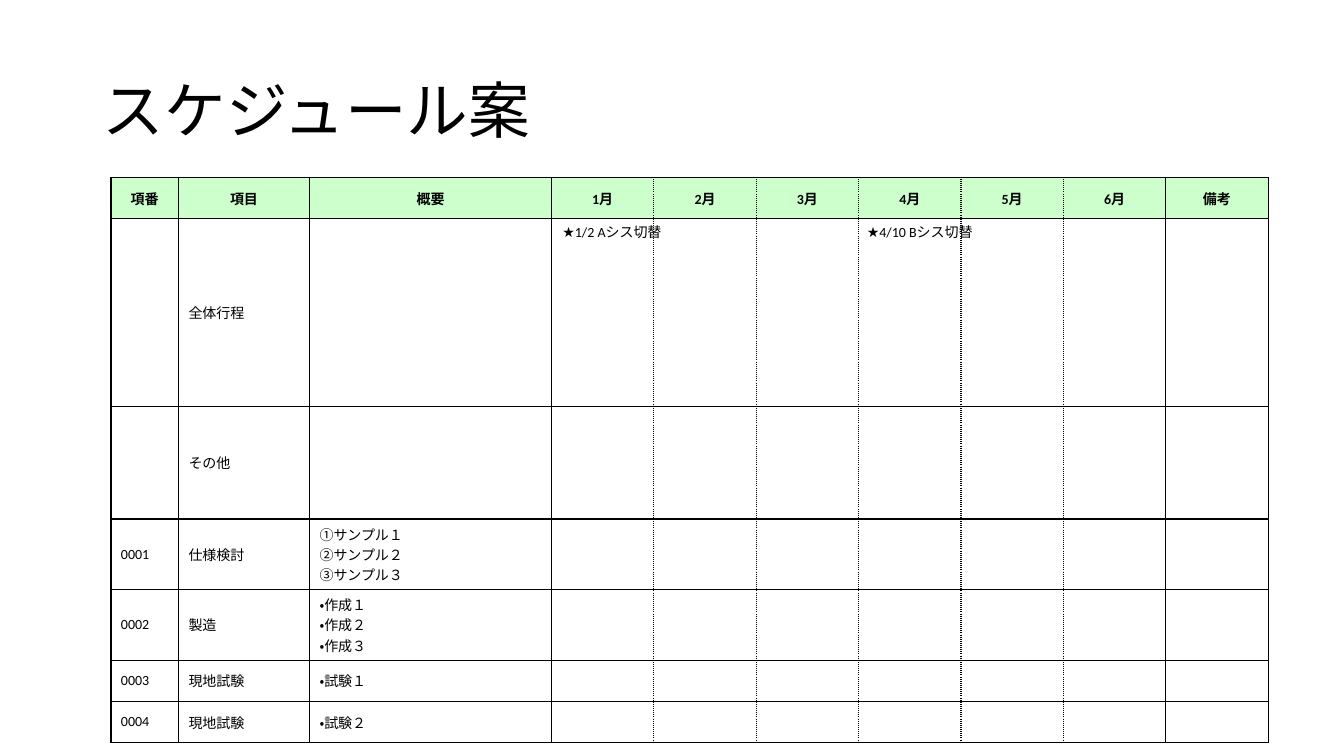
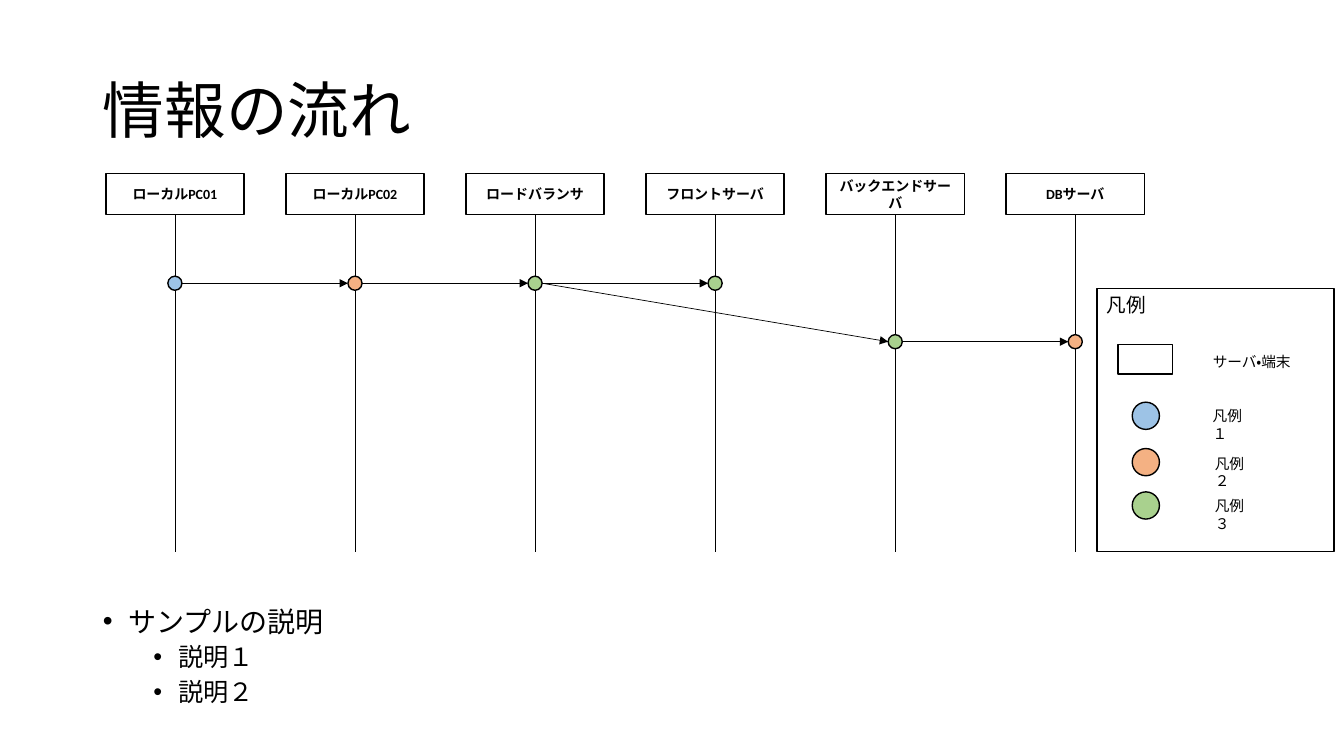
from lxml import etree
from pptx import Presentation
from pptx.dml.color import RGBColor
from pptx.enum import lang, shapes, text
from pptx.oxml import ns
from pptx.util import Inches, Pt

COLORS = {"black": "000000", "header": "CCFFCC",
          "blue": "9DC3E6", "orange": "F4B183", "green": "A9D18E"}
FONT = "Calibri"
TITLE_BOX = [Inches(n) for n in (0.92, 0.4, 11.5, 1.45)]
BLACK = RGBColor.from_string(COLORS["black"])


def style_text(frame, size, bold=False, align=text.PP_ALIGN.LEFT,
               anchor=text.MSO_ANCHOR.MIDDLE):
    """Apply the deck's font to every run of a text frame or table cell."""
    frame.vertical_anchor = anchor
    for paragraph in getattr(frame, "text_frame", frame).paragraphs:
        paragraph.alignment = align
        for run in paragraph.runs:
            run.font.name = FONT
            run.font.size = Pt(size)
            run.font.bold = bold
            run.font.color.rgb = BLACK
            run.font.language_id = lang.MSO_LANGUAGE_ID.JAPANESE


def add_outlined(slide, preset, left, top, width, height, color=None):
    """Add a black-outlined shape, filled only when a colour is named."""
    outlined = slide.shapes.add_shape(preset, Inches(left), Inches(top),
                                      Inches(width), Inches(height))
    outlined.shadow.inherit = False
    outlined.line.color.rgb = BLACK
    outlined.line.width = Pt(1)
    if color:
        outlined.fill.solid()
        outlined.fill.fore_color.rgb = RGBColor.from_string(COLORS[color])
    else:
        outlined.fill.background()
    return outlined


prs = Presentation()
prs.slide_width, prs.slide_height = Inches(13.33), Inches(7.5)
schedule = prs.slides.add_slide(prs.slide_layouts[5])
flow = prs.slides.add_slide(prs.slide_layouts[1])

# Titles
for slide, heading in ((schedule, "スケジュール案"), (flow, "情報の流れ")):
    title = slide.shapes.title
    title.left, title.top, title.width, title.height = TITLE_BOX
    title.text_frame.text = heading
    title.text_frame.auto_size = text.MSO_AUTO_SIZE.NONE
    title.text_frame.paragraphs[0].line_spacing = 0.9
    style_text(title.text_frame, 44)

# Schedule table
months = [f"{month}月" for month in range(1, 7)]
rows = [
    (0.41, ["項番", "項目", "概要", *months, "備考"]),
    (1.86, ["", "全体行程"]),
    (1.12, ["", "その他"]),
    (0.41, ["0001", "仕様検討", "①サンプル１\n②サンプル２\n③サンプル３"]),
    (0.41, ["0002", "製造", "・作成１\n・作成２\n・作成３"]),
    (0.41, ["0003", "現地試験", "・試験１"]),
    (0.41, ["0004", "現地試験", "・試験２"]),
]
table_width = 11.48
label_widths = [0.67, 1.3, 2.4]
month_width = (table_width - sum(label_widths)) / 7
widths = label_widths + [month_width] * 7
plan = schedule.shapes.add_table(
    len(rows), len(widths), Inches(1.1), Inches(1.76), Inches(table_width),
    Inches(sum(height for height, _ in rows))).table
plan.first_row = plan.horz_banding = False
for column, width in zip(plan.columns, widths):
    column.width = Inches(width)

for r, (height, labels) in enumerate(rows):
    plan.rows[r].height = Inches(height)
    for c in range(len(widths)):
        cell = plan.cell(r, c)
        # Borders between two months are dotted
        dotted = {"lnL": 4 <= c <= 8, "lnR": 3 <= c <= 7}
        for side in ("lnL", "lnR", "lnT", "lnB"):
            border = etree.SubElement(cell._tc.get_or_add_tcPr(),
                                      ns.qn(f"a:{side}"), w=str(Pt(1)))
            fill = etree.SubElement(border, ns.qn("a:solidFill"))
            etree.SubElement(fill, ns.qn("a:srgbClr"), val=COLORS["black"])
            etree.SubElement(border, ns.qn("a:prstDash"),
                             val="sysDot" if dotted.get(side) else "solid")
        if r == 0:
            cell.fill.solid()
            cell.fill.fore_color.rgb = RGBColor.from_string(COLORS["header"])
        else:
            cell.fill.background()
        if c < len(labels) and labels[c]:
            cell.text_frame.text = labels[c]
            style_text(cell, 10, bold=r == 0,
                       align=text.PP_ALIGN.CENTER if r == 0 else text.PP_ALIGN.LEFT)

# Server boxes and their lifelines
servers = ["ローカルPC01", "ローカルPC02", "ロードバランサ",
           "フロントサーバ", "バックエンドサーバ", "DBサーバ"]
box_left, box_top, box_width, box_height = 1.05, 1.72, 1.37, 0.41
pitch = (9.98 - box_left) / (len(servers) - 1)
centers = [box_left + box_width / 2 + i * pitch for i in range(len(servers))]
lines = []
for server, center in zip(servers, centers):
    box = add_outlined(flow, shapes.MSO_SHAPE.RECTANGLE, center - box_width / 2,
                       box_top, box_width, box_height)
    box.text_frame.text = server
    box.text_frame.word_wrap = True
    style_text(box.text_frame, 10, bold=True, align=text.PP_ALIGN.CENTER)
    lifeline = flow.shapes.add_connector(
        shapes.MSO_CONNECTOR.STRAIGHT, Inches(center), Inches(box_top + box_height),
        Inches(center), Inches(5.48))
    lifeline.begin_connect(box, 2)
    lines.append((lifeline, False))

# Message points on the lifelines
dot = 0.14
upper, lower = 2.81, 3.39
points = [(centers[0], upper, "blue"), (centers[1], upper, "orange"),
          (centers[2], upper, "green"), (centers[3], upper, "green"),
          (centers[4], lower, "green"), (centers[5], lower, "orange")]
for x, y, color in points:
    add_outlined(flow, shapes.MSO_SHAPE.OVAL, x - dot / 2, y - dot / 2, dot, dot, color)

# Message arrows
for start, end in ((0, 1), (1, 2), (2, 3), (2, 4), (4, 5)):
    (x1, y1, _), (x2, y2, _) = points[start], points[end]
    message = flow.shapes.add_connector(
        shapes.MSO_CONNECTOR.STRAIGHT, Inches(x1 + dot / 2), Inches(y1),
        Inches(x2 - dot / 2), Inches(y2))
    lines.append((message, True))

for line, has_arrow in lines:
    line.line.color.rgb = BLACK
    line.line.width = Pt(0.5)
    if has_arrow:
        etree.SubElement(line.get_or_add_ln(), ns.qn("a:tailEnd"), type="triangle")
    etree.SubElement(line._element.spPr, ns.qn("a:effectLst"))

# Legend frame and symbols
add_outlined(flow, shapes.MSO_SHAPE.RECTANGLE, 10.88, 2.86, 2.35, 2.61)
add_outlined(flow, shapes.MSO_SHAPE.RECTANGLE, 11.09, 3.42, 0.54, 0.29)
for top, color in ((3.99, "blue"), (4.45, "orange"), (4.88, "green")):
    add_outlined(flow, shapes.MSO_SHAPE.OVAL, 11.23, top, 0.27, 0.27, color)

# Schedule milestones and legend labels
labels = [
    (schedule, "★1/2 Aシス切替", 5.48, 2.17, 1.19, 0.27, 10, True),
    (schedule, "★4/10 Bシス切替", 8.5, 2.17, 1.26, 0.27, 10, True),
    (flow, "凡例", 10.88, 2.86, 0.59, 0.34, 14, False),
    (flow, "サーバ・端末", 11.93, 3.45, 1.01, 0.28, 10.5, False),
    (flow, "凡例１", 11.93, 3.99, 0.6, 0.28, 10.5, True),
    (flow, "凡例２", 11.95, 4.46, 0.6, 0.28, 10.5, True),
    (flow, "凡例３", 11.95, 4.88, 0.6, 0.28, 10.5, True),
]
for slide, wording, left, top, width, height, size, wraps in labels:
    label = slide.shapes.add_textbox(Inches(left), Inches(top),
                                     Inches(width), Inches(height)).text_frame
    label.text = wording
    label.word_wrap = wraps
    style_text(label, size, anchor=text.MSO_ANCHOR.TOP)

# Explanation list
explanation = flow.placeholders[1]
explanation.left, explanation.top = Inches(0.92), Inches(5.98)
explanation.width, explanation.height = Inches(11.5), Inches(1.3)
notes = explanation.text_frame
notes.text = "サンプルの説明\n説明１\n説明２"
notes.auto_size = text.MSO_AUTO_SIZE.NONE
style_text(notes, 18, anchor=text.MSO_ANCHOR.TOP)
notes.paragraphs[0].runs[0].font.size = Pt(20)
for i, paragraph in enumerate(notes.paragraphs):
    paragraph.level = min(i, 1)
    paragraph.line_spacing = 0.9
    paragraph.space_before = Pt(5 if i else 10)
    properties = paragraph._p.get_or_add_pPr()
    properties.set("marL", str(Inches(0.75 if i else 0.25)))
    properties.set("indent", str(Inches(-0.25)))
    etree.SubElement(properties, ns.qn("a:buFont"), typeface="Arial")
    etree.SubElement(properties, ns.qn("a:buChar"), char="•")

prs.save("out.pptx")
